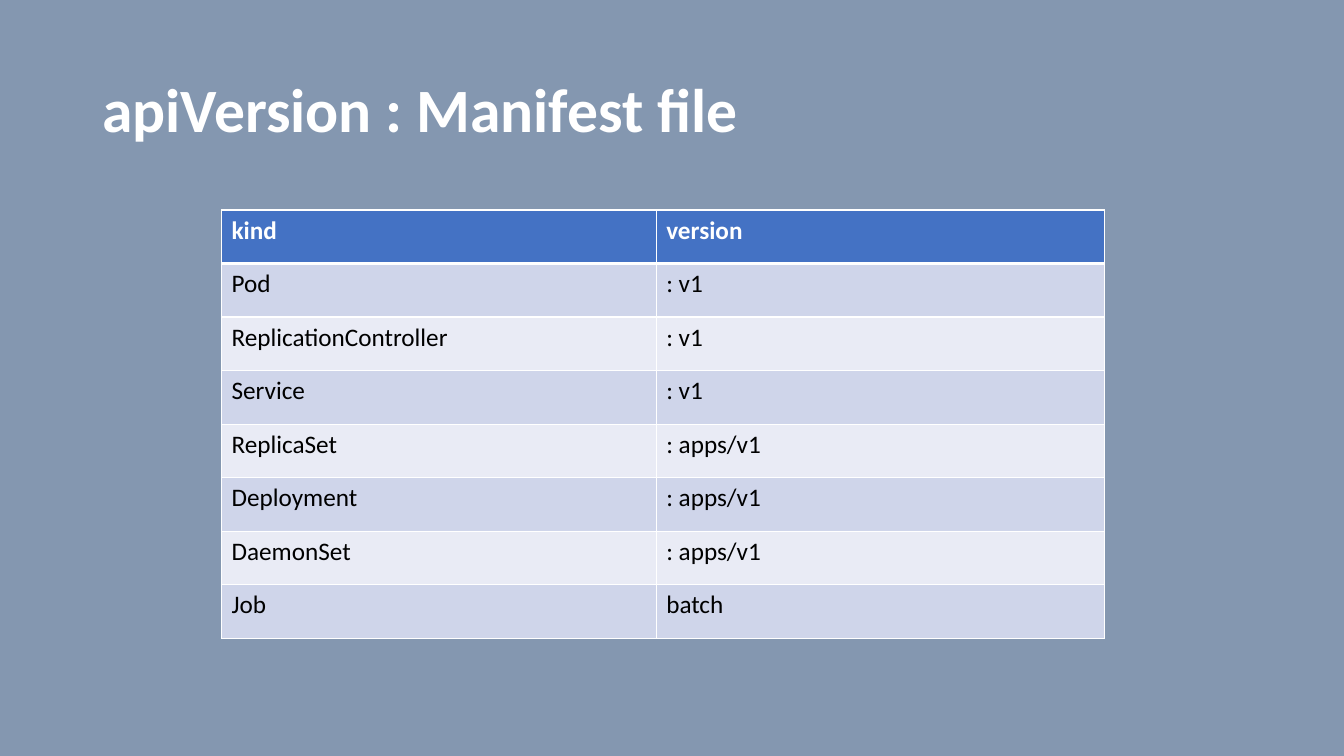
from lxml import etree
from pptx import Presentation
from pptx.dml.color import RGBColor
from pptx.enum.text import MSO_ANCHOR
from pptx.oxml.ns import qn
from pptx.util import Pt

MIDDLE = MSO_ANCHOR.MIDDLE
PX = 9525  # EMU per px, 96 px to the inch

THEME = {
    "font": "Calibri",
    "title_size": 44,
    "table_size": 18,
    "background": "8497B0",
    "light": "FFFFFF",
    "dark": "000000",
    "header": "4472C4",
    "bands": ("E9EBF5", "CFD5EA"),
}

API_VERSIONS = [
    ("kind", "version"),
    ("Pod", ": v1"),
    ("ReplicationController", ": v1"),
    ("Service", ": v1"),
    ("ReplicaSet", ": apps/v1"),
    ("Deployment", ": apps/v1"),
    ("DaemonSet", ": apps/v1"),
    ("Job", "batch"),
]
COLUMN_WIDTHS = (414, 427)
ROW_HEIGHT = 51


def style_font(paragraph, size, color, bold):
    font = paragraph.font
    font.name = THEME["font"]
    font.size = Pt(size)
    font.bold = bold
    font.color.rgb = RGBColor.from_string(color)


def add_border(cell, side, points):
    properties = cell._tc.get_or_add_tcPr()
    line = etree.SubElement(properties, qn(f"a:ln{side}"), w=str(Pt(points)))
    fill = etree.SubElement(line, qn("a:solidFill"))
    etree.SubElement(fill, qn("a:srgbClr"), val=THEME["light"])


presentation = Presentation()
presentation.slide_width = 1280 * PX
presentation.slide_height = 720 * PX
slide = presentation.slides.add_slide(presentation.slide_layouts[6])
slide.background.fill.solid()
slide.background.fill.fore_color.rgb = RGBColor.from_string(THEME["background"])

# Title
title = slide.shapes.add_textbox(88 * PX, 38 * PX, 1104 * PX, 139 * PX).text_frame
title.word_wrap = True
title.vertical_anchor = MIDDLE
heading = title.paragraphs[0]
heading.text = "apiVersion : Manifest file"
heading.line_spacing = 0.9
style_font(heading, THEME["title_size"], THEME["light"], True)

# Table of kinds and their API versions
versions = slide.shapes.add_table(
    len(API_VERSIONS), len(COLUMN_WIDTHS), 211 * PX, 200 * PX,
    sum(COLUMN_WIDTHS) * PX, len(API_VERSIONS) * ROW_HEIGHT * PX,
).table
for column, width in zip(versions.columns, COLUMN_WIDTHS):
    column.width = width * PX

for row, entries in enumerate(API_VERSIONS):
    is_header = row == 0
    versions.rows[row].height = ROW_HEIGHT * PX
    background = THEME["header"] if is_header else THEME["bands"][row % 2]
    text_color = THEME["light"] if is_header else THEME["dark"]
    for column, entry in enumerate(entries):
        cell = versions.cell(row, column)
        cell.text = entry
        style_font(cell.text_frame.paragraphs[0], THEME["table_size"], text_color, is_header)
        # The rule between the header and the body is heavier
        for side in "LRTB":
            heavy = (is_header and side == "B") or (row == 1 and side == "T")
            add_border(cell, side, 3 if heavy else 1)
        cell.fill.solid()
        cell.fill.fore_color.rgb = RGBColor.from_string(background)

presentation.save("out.pptx")
